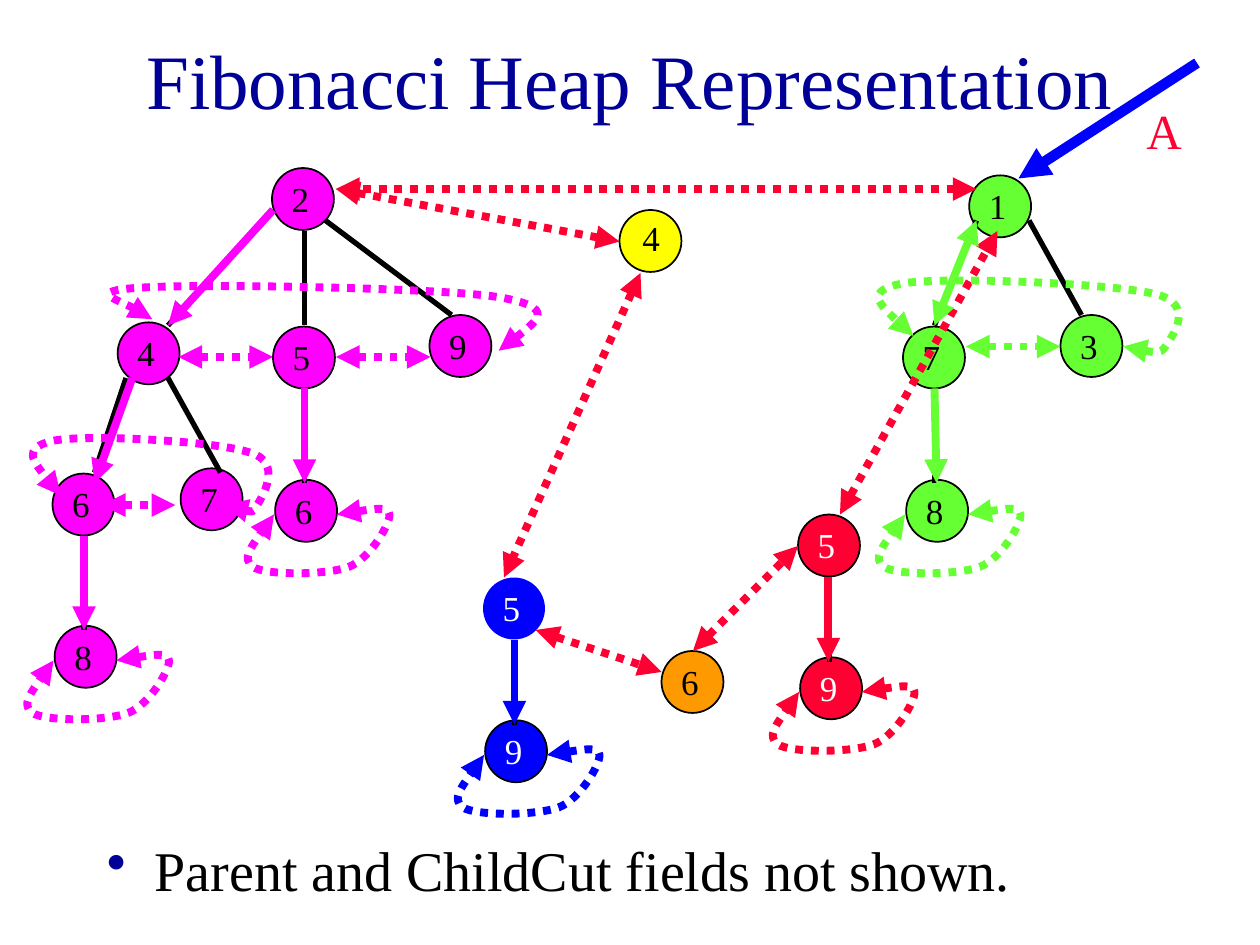
from dataclasses import dataclass

from pptx import Presentation
from pptx import util as u
from pptx.dml.color import RGBColor
from pptx.enum import dml, shapes, text
from pptx.oxml.ns import qn
from lxml import etree


@dataclass(frozen=True)
class Theme:
    font: str = "Times New Roman"
    navy: str = "000099"
    black: str = "000000"
    white: str = "FFFFFF"
    magenta: str = "FF00FF"
    green: str = "66FF33"
    red: str = "FF0033"
    blue: str = "0000FF"
    yellow: str = "FFFF00"
    orange: str = "FF9900"
    title_size: int = 44
    note_size: int = 32
    pointer_size: int = 28
    key_size: int = 20
    outline: float = 1
    edge: float = 3
    link: float = 4.5
    entry: float = 6


T = Theme()
GRID = 12  # grid steps per inch: the slide is 120 columns by 90 rows
NODE = 5.9  # node diameter in grid steps

# key, column, row, fill, key colour
NODES = [
    ("6", 63, 62, T.orange, T.black),
    ("4", 59, 20, T.yellow, T.black),
    ("5", 76, 49, T.red, T.white),
    ("9", 76.2, 62.6, T.red, T.white),
    ("1", 92.3, 16.7, T.green, T.black),
    ("7", 86, 31.1, T.green, T.black),
    ("3", 101, 30, T.green, T.black),
    ("8", 86.3, 45.7, T.green, T.black),
    ("5", 46, 55, T.blue, T.white),
    ("9", 46.2, 68.6, T.blue, T.white),
    ("2", 25.9, 16, T.magenta, T.black),
    ("5", 26, 31.1, T.magenta, T.black),
    ("9", 40.9, 30, T.magenta, T.black),
    ("6", 26.2, 45.7, T.magenta, T.black),
    ("4", 11.2, 30.7, T.magenta, T.black),
    ("6", 5, 45.1, T.magenta, T.black),
    ("7", 17.2, 44.6, T.magenta, T.black),
    ("8", 5.2, 59.6, T.magenta, T.black),
]

TREE_EDGES = [
    (79, 55, 79, 63), (89, 37, 89, 46), (93, 21, 89, 31), (98, 21, 103, 30),
    (49, 61, 49, 69), (29, 37, 29, 46), (29, 22, 29, 31), (31, 21, 43, 30),
    (8, 51, 8, 60), (12, 36, 9, 45), (16, 36, 21, 45), (26, 20, 16, 31),
]

SIBLING_LINKS = {
    T.red: [(32, 18, 59, 23), (61, 26, 48, 55), (51, 60, 63, 64),
            (66, 62, 76, 52), (80, 49, 95, 22), (93, 18, 32, 18)],
    T.magenta: [(17, 34, 26, 34), (32, 34, 41, 34), (9.7, 48.1, 16.7, 48.1)],
    T.green: [(92, 33, 101, 33)],
}

CHILD_POINTERS = {
    T.magenta: [(26, 20, 16, 31), (8, 51, 8, 60), (12.6, 36, 9, 46), (29, 37, 29, 46)],
    T.blue: [(49, 61, 49, 69)],
    T.green: [(89, 37, 89.2, 46)],
    T.red: [(78.9, 55, 78.9, 63)],
}

# Cubic curves: a start, then two control points and an end for each segment
RINGS = [
    (T.magenta, [(47.5, 33.4), (50.3, 31.3), (53.2, 29.3), (47.5, 28.3),
                 (41.9, 27.4), (19, 27), (13.4, 27.4),
                 (8, 27.7), (14.3, 29.9), (14.5, 30.4)]),
    (T.green, [(107, 33), (108.7, 33.4), (110.5, 33.8), (111, 33),
               (111.5, 32.2), (114.1, 29), (110, 28),
               (105.8, 27), (89.9, 26.3), (86, 27),
               (82.2, 27.7), (84.6, 29.9), (87, 32)]),
    (T.magenta, [(21.4, 48.1), (22.8, 48.6), (24.1, 49), (24.5, 48.1),
                 (25, 47.3), (27, 44), (23.8, 43.1),
                 (20.5, 42), (8, 41.3), (5, 42),
                 (2, 42.7), (3.8, 44.9), (5.8, 47.2)]),
]

# The loop of an only child, measured from its node's top left corner
SELF_LOOP = [(5.9, 3.3), (8.3, 2.9), (10.8, 2.5), (10.9, 3.3),
             (11, 4.1), (9.1, 7.5), (7, 8.3),
             (4.8, 9.1), (-0.9, 9.1), (-2.1, 8.3),
             (-3.2, 7.5), (-1.6, 5.4), (-0.1, 3.3)]
ONLY_CHILDREN = {("9", T.blue), ("8", T.green), ("9", T.red), ("8", T.magenta)}
ONLY_CHILD_AT = (26.2, 45.7)  # the magenta 6 with no sibling


def grid(*steps):
    return [u.Inches(step / GRID) for step in steps]


def write(paragraph, words, size, color):
    paragraph.text = words
    paragraph.font.name = T.font
    paragraph.font.size = u.Pt(size)
    paragraph.font.color.rgb = RGBColor.from_string(color)


def style_line(shape, color, width, dotted=False, head=False, tail=False):
    shape.line.color.rgb = RGBColor.from_string(color)
    shape.line.width = u.Pt(width)
    if dotted:
        shape.line.dash_style = dml.MSO_LINE.ROUND_DOT
    ln = shape._element.spPr.find(qn("a:ln"))
    for end, shown in (("a:headEnd", head), ("a:tailEnd", tail)):
        if shown:
            etree.SubElement(ln, qn(end), type="triangle")


def add_line(slide, ends, color, width, **style):
    line = slide.shapes.add_connector(shapes.MSO_CONNECTOR.STRAIGHT, *grid(*ends))
    style_line(line, color, width, **style)
    etree.SubElement(line._element.spPr, qn("a:effectLst"))


def add_curve(slide, points, color):
    """Draw a dotted two-headed curve by turning each three vertices into a Bezier segment."""
    start, *rest = [grid(*point) for point in points]
    builder = slide.shapes.build_freeform(*start)
    builder.add_line_segments(rest, close=False)
    curve = builder.convert_to_shape()
    vertices = list(curve._element.iter(qn("a:lnTo")))
    for i in range(0, len(vertices), 3):
        segment = etree.SubElement(vertices[i].getparent(), qn("a:cubicBezTo"))
        for vertex in vertices[i:i + 3]:
            segment.append(vertex[0])
            vertex.getparent().remove(vertex)
    curve.shadow.inherit = False
    curve.fill.background()
    style_line(curve, color, T.link, dotted=True, head=True, tail=True)


def add_node(slide, key, column, row, fill, key_color):
    circle = slide.shapes.add_shape(shapes.MSO_SHAPE.OVAL, *grid(column, row, NODE, NODE))
    circle.shadow.inherit = False
    circle.fill.solid()
    circle.fill.fore_color.rgb = RGBColor.from_string(fill)
    if (key, fill) == ("5", T.blue):
        circle.line.fill.background()
    else:
        style_line(circle, T.black, T.outline)
    dx, dy = (1, 0) if fill == T.yellow else (0.7, 0.3)
    label = slide.shapes.add_textbox(*grid(column + dx, row + dy, 4.1, 5.2))
    label.text_frame.word_wrap = False
    label.text_frame.auto_size = text.MSO_AUTO_SIZE.SHAPE_TO_FIT_TEXT
    write(label.text_frame.paragraphs[0], key, T.key_size, key_color)


def add_title(slide, words):
    title = slide.shapes.title
    title.left, title.top, title.width, title.height = grid(9, 0, 102, 15)
    title.text_frame.vertical_anchor = text.MSO_ANCHOR.MIDDLE
    write(title.text_frame.paragraphs[0], words, T.title_size, T.navy)
    title.text_frame.paragraphs[0].alignment = text.PP_ALIGN.CENTER


def add_note(slide, words):
    note = slide.shapes.add_shape(shapes.MSO_SHAPE.RECTANGLE, *grid(9, 79, 102, 9))
    note.shadow.inherit = False
    note.fill.solid()
    note.fill.fore_color.rgb = RGBColor.from_string(T.white)
    style_line(note, T.white, 0.75)
    note.text_frame.vertical_anchor = text.MSO_ANCHOR.TOP
    paragraph = note.text_frame.paragraphs[0]
    paragraph.alignment = text.PP_ALIGN.LEFT
    props = paragraph._p.get_or_add_pPr()
    props.set("marL", str(u.Inches(0.38)))
    props.set("indent", str(u.Inches(-0.38)))
    bullet_color = etree.SubElement(props, qn("a:buClr"))
    etree.SubElement(bullet_color, qn("a:srgbClr"), val=T.navy)
    etree.SubElement(props, qn("a:buChar"), char="•")
    write(paragraph, words, T.note_size, T.black)


def add_heap_pointer(slide, name):
    add_line(slide, (114, 6, 97, 17), T.blue, T.entry, tail=True)
    label = slide.shapes.add_textbox(*grid(108, 9, 12, 6.8))
    label.text_frame.word_wrap = True
    write(label.text_frame.paragraphs[0], name, T.pointer_size, T.red)


def main():
    deck = Presentation()
    deck.slide_width, deck.slide_height = grid(120, 90)
    slide = deck.slides.add_slide(deck.slide_layouts[5])
    add_title(slide, "Fibonacci Heap Representation")
    add_note(slide, "Parent and ChildCut fields not shown.")
    for node in NODES:
        add_node(slide, *node)
    for ends in TREE_EDGES:
        add_line(slide, ends, T.black, T.edge)
    for color, links in SIBLING_LINKS.items():
        for ends in links:
            add_line(slide, ends, color, T.link, dotted=True, head=True, tail=True)
    for color, points in RINGS:
        add_curve(slide, points, color)
    for key, column, row, fill, _ in NODES:
        if (key, fill) in ONLY_CHILDREN and column != 40.9 or (column, row) == ONLY_CHILD_AT:
            add_curve(slide, [(column + x, row + y) for x, y in SELF_LOOP], fill)
    for color, pointers in CHILD_POINTERS.items():
        for ends in pointers:
            add_line(slide, ends, color, T.link, tail=True)
    add_line(slide, (93, 21, 89, 31), T.green, T.link, head=True, tail=True)
    add_heap_pointer(slide, "A")
    deck.save("out.pptx")


if __name__ == "__main__":
    main()
